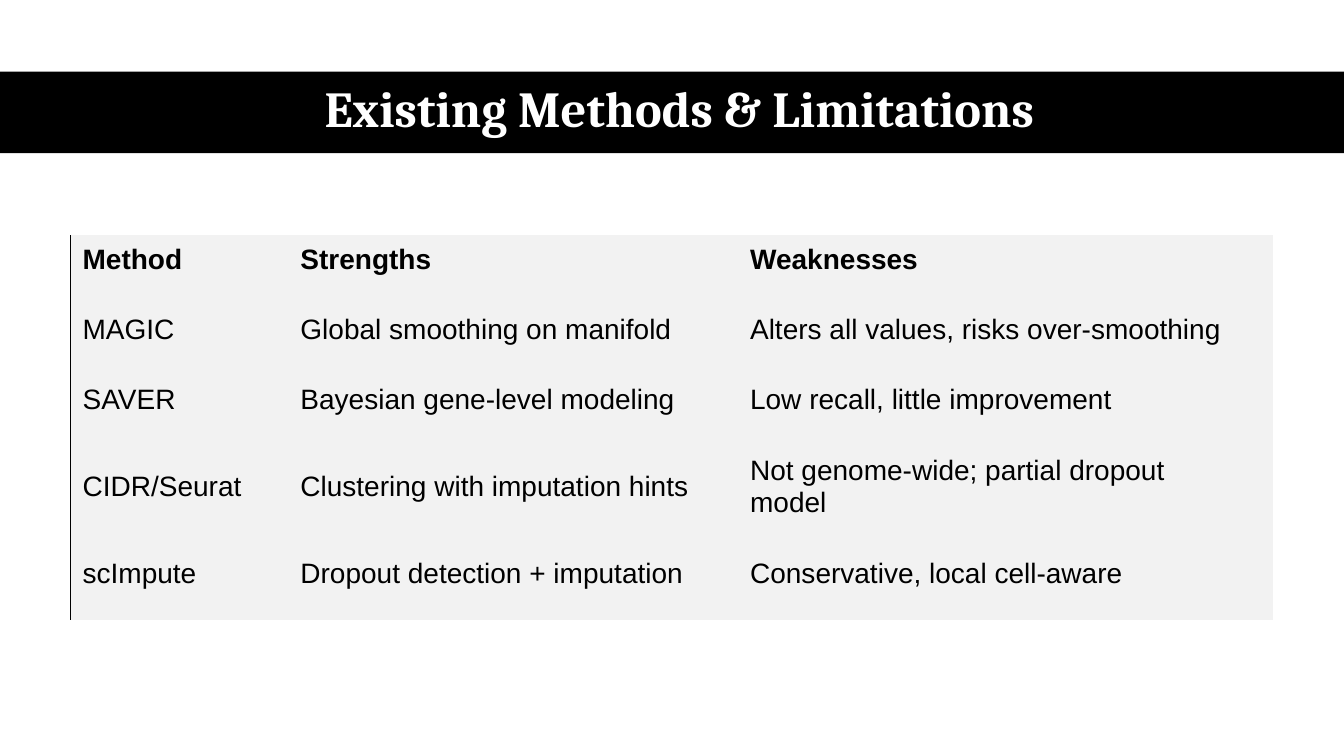
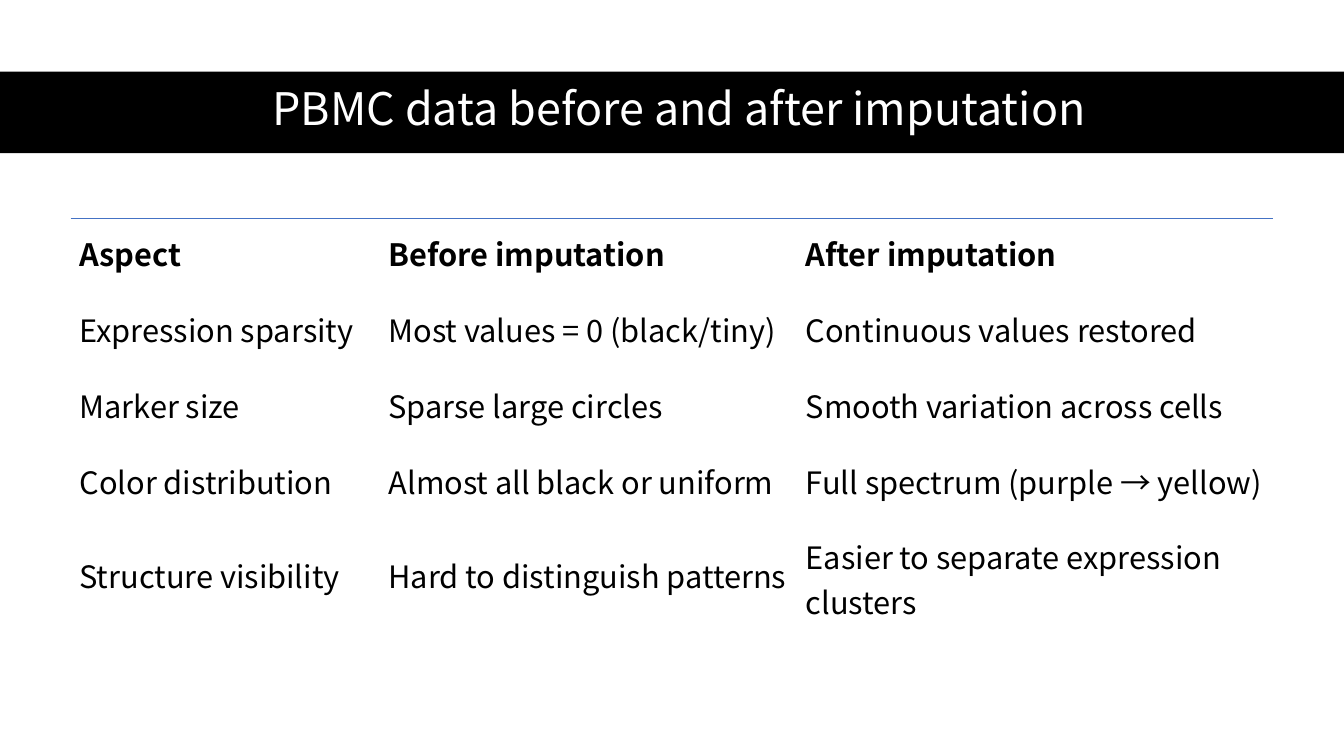
"""Build two slides comparing imputation methods and results in tables."""
from lxml.etree import SubElement
from pptx import Presentation
from pptx.dml.color import RGBColor
from pptx.enum.shapes import MSO_SHAPE as Shape
from pptx.enum.text import MSO_ANCHOR as Anchor, PP_ALIGN as Align
from pptx.oxml.ns import qn
from pptx.util import Pt

COLORS = {"black": "000000", "white": "FFFFFF", "panel": "F2F2F2", "rule": "4472C4"}
NO_GRID_STYLE = "{2D5ABB26-0587-4C30-8999-92F81FD0307C}"
BAND_TOP, BAND_HEIGHT = 51.1, 58.3
TABLE_LEFT = 50.4

comparisons = [
    {
        "title": "Existing Methods & Limitations",
        "title_format": {"font": "Cambria", "size": 36, "bold": True},
        "font": "Arial",
        "size": 20,
        "top": 168,
        "columns": [155.6, 321.2, 381.8],
        "row_heights": [50.2, 50.2, 50.2, 74.2, 50.2],
        "margins": (8.6, 2.2, 17.3, 18),
        "fill": "panel",
        "border": ("a:lnL", "black"),
        "rows": [
            ("Method", "Strengths", "Weaknesses"),
            ("MAGIC", "Global smoothing on manifold", "Alters all values, risks over-smoothing"),
            ("SAVER", "Bayesian gene-level modeling", "Low recall, little improvement"),
            ("CIDR/Seurat", "Clustering with imputation hints", "Not genome-wide; partial dropout model"),
            ("scImpute", "Dropout detection + imputation", "Conservative, local cell-aware"),
        ],
    },
    {
        "title": "PBMC data before and after imputation",
        "title_format": {"font": "Noto Sans CJK SC", "size": 32},
        "font": "Noto Sans CJK SC",
        "size": 22,
        "top": 156,
        "columns": [220.8, 298, 339.8],
        "row_heights": [54.2, 54.2, 54.2, 54.2, 80.6],
        "margins": (6.4, 8.6, 6.4, 12.9),
        "fill": None,
        "border": ("a:lnT", "rule"),
        "rows": [
            ("Aspect", "Before imputation", "After imputation"),
            ("Expression sparsity", "Most values = 0 (black/tiny)", "Continuous values restored"),
            ("Marker size", "Sparse large circles", "Smooth variation across cells"),
            ("Color distribution", "Almost all black or uniform", "Full spectrum (purple → yellow)"),
            ("Structure visibility", "Hard to distinguish patterns", "Easier to separate expression clusters"),
        ],
    },
]


def write_text(frame, text, font, size, color="black", bold=False, align=Align.LEFT, spacing=1.0):
    paragraph = frame.paragraphs[0]
    paragraph.alignment = align
    paragraph.line_spacing = spacing
    run = paragraph.add_run()
    run.text = text
    run.font.name = font
    run.font.size = Pt(size)
    run.font.bold = bold
    run.font.color.rgb = RGBColor.from_string(COLORS[color])


def draw_border(cell, side, color):
    border = SubElement(cell._tc.get_or_add_tcPr(), qn(side), w=str(Pt(1)))
    fill = SubElement(border, qn("a:solidFill"))
    SubElement(fill, qn("a:srgbClr"), val=COLORS[color])


deck = Presentation()
deck.slide_width, deck.slide_height = Pt(960), Pt(540)

for comparison in comparisons:
    slide = deck.slides.add_slide(deck.slide_layouts[6])

    band = slide.shapes.add_shape(Shape.RECTANGLE, 0, Pt(BAND_TOP), deck.slide_width, Pt(BAND_HEIGHT))
    band.shadow.inherit = False
    band.fill.solid()
    band.fill.fore_color.rgb = RGBColor.from_string(COLORS["black"])
    band.line.fill.background()

    title = slide.shapes.add_textbox(Pt(43.9), Pt(50.4), Pt(882.7), Pt(BAND_HEIGHT)).text_frame
    title.word_wrap = True
    title.vertical_anchor = Anchor.MIDDLE
    write_text(title, comparison["title"], color="white", align=Align.CENTER, spacing=0.9,
               **comparison["title_format"])

    rows, columns, heights = comparison["rows"], comparison["columns"], comparison["row_heights"]
    table_frame = slide.shapes.add_table(len(rows), len(columns), Pt(TABLE_LEFT), Pt(comparison["top"]),
                                         Pt(sum(columns)), Pt(sum(heights)))
    for style in table_frame.element.iter(qn("a:tableStyleId")):
        style.text = NO_GRID_STYLE
    table = table_frame.table
    table.horz_banding = False
    for column, width in zip(table.columns, columns):
        column.width = Pt(width)
    for row, height in zip(table.rows, heights):
        row.height = Pt(height)

    side, border_color = comparison["border"]
    for row_index, row in enumerate(rows):
        for column_index, text in enumerate(row):
            cell = table.cell(row_index, column_index)
            cell.vertical_anchor = Anchor.MIDDLE
            cell.margin_left, cell.margin_top, cell.margin_right, cell.margin_bottom = map(
                Pt, comparison["margins"])
            if (column_index if side == "a:lnL" else row_index) == 0:
                draw_border(cell, side, border_color)
            if comparison["fill"]:
                cell.fill.solid()
                cell.fill.fore_color.rgb = RGBColor.from_string(COLORS[comparison["fill"]])
            else:
                cell.fill.background()
            write_text(cell.text_frame, text, comparison["font"], comparison["size"], bold=row_index == 0)

deck.save("out.pptx")
